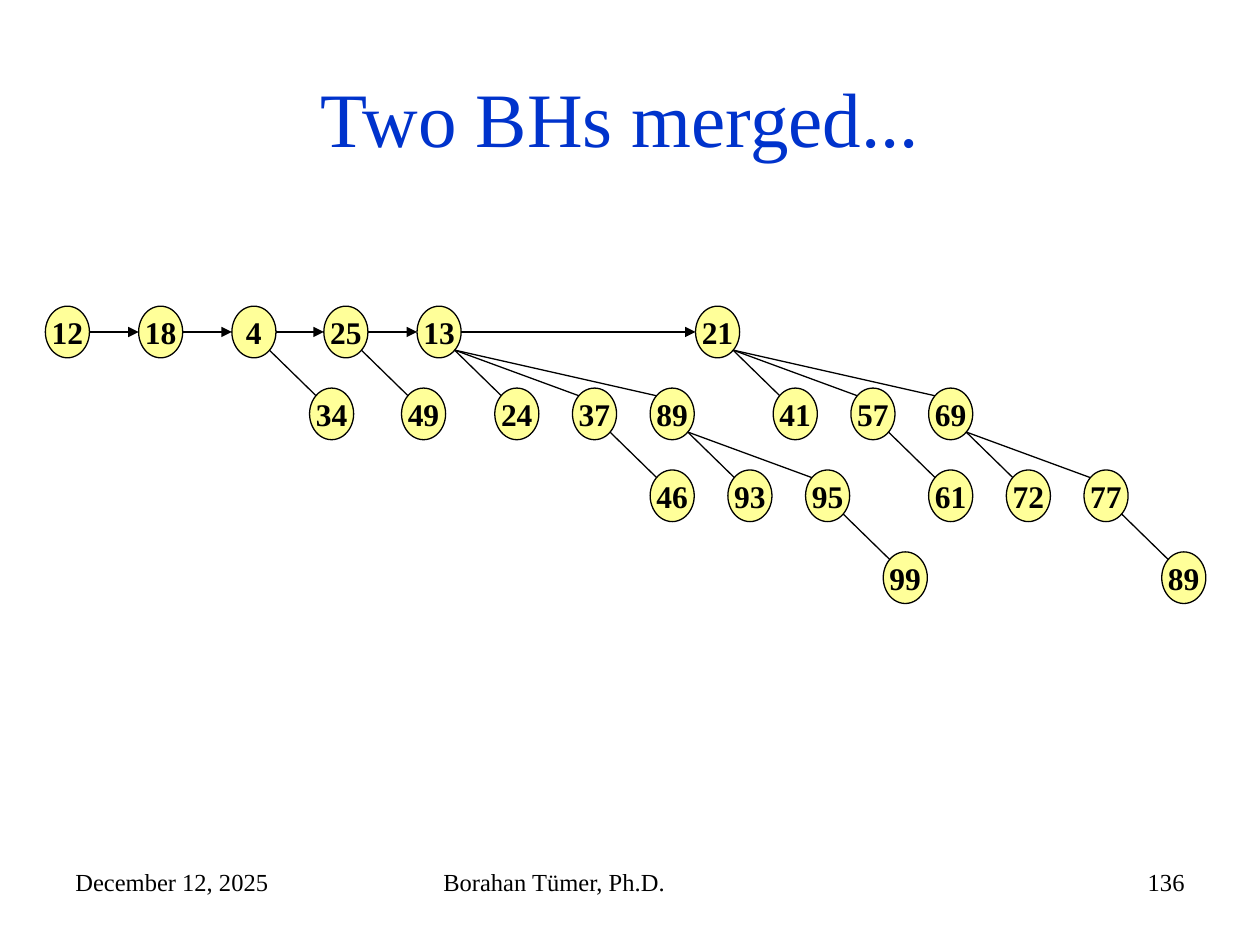
from lxml.etree import SubElement
from pptx import Presentation
from pptx.dml.color import RGBColor as RGB
from pptx.enum.shapes import MSO_CONNECTOR as LINK, MSO_SHAPE as SHAPE
from pptx.enum.text import MSO_ANCHOR as ANCHOR, PP_ALIGN as ALIGN
from pptx.oxml.ns import qn
from pptx.util import Inches, Pt

COLORS = {"title": "0033CC", "node": "FFFF99", "ink": "000000"}
FONT = "Times New Roman"
NODE_W, NODE_H = 0.35, 0.41
TOP, ROW = 2.43, 0.65
STEP = 1.85 / 3
DIAG = 0.15  # share of the oval's box cut off at its diagonal points

# Each root: left edge and tree; each tree: key and its child trees
ROOTS = [
    (0.36, ("12", [])),
    (1.10, ("18", [])),
    (1.84, ("4", [("34", [])])),
    (2.57, ("25", [("49", [])])),
    (3.31, ("13", [
        ("24", []),
        ("37", [("46", [])]),
        ("89", [("93", []), ("95", [("99", [])])]),
    ])),
    (5.52, ("21", [
        ("41", []),
        ("57", [("61", [])]),
        ("69", [("72", []), ("77", [("89", [])])]),
    ])),
]

FOOTER = [
    ("December 12, 2025", 0.5, 2.33, ALIGN.LEFT),
    ("Borahan Tümer, Ph.D.", 3.42, 3.17, ALIGN.LEFT),
    ("136", 7.17, 2.33, ALIGN.RIGHT),
]


def write(frame, text, size, color, align, bold=False):
    frame.text = text
    par = frame.paragraphs[0]
    par.alignment = align
    font = par.runs[0].font
    for name, value in {"name": FONT, "size": Pt(size), "bold": bold}.items():
        setattr(font, name, value)
    font.color.rgb = RGB.from_string(COLORS[color])


def add_title(slide, text):
    title = slide.shapes.title
    place = {"left": 0.5, "top": 0.3, "width": 9, "height": 1.25}
    for name, value in place.items():
        setattr(title, name, Inches(value))
    title.text_frame.vertical_anchor = ANCHOR.MIDDLE
    write(title.text_frame, text, 44, "title", ALIGN.CENTER)


def add_note(slide, text, left, width, align):
    """Add one text of the footer row."""
    box = slide.shapes.add_textbox(
        Inches(left), Inches(6.83), Inches(width), Inches(0.52))
    box.text_frame.word_wrap = True
    write(box.text_frame, text, 14, "ink", align)


def add_line(slide, start, end, arrow=False):
    line = slide.shapes.add_connector(
        LINK.STRAIGHT, *(Inches(v) for v in (*start, *end)))
    line.line.width = Pt(0.75)
    line.line.color.rgb = RGB.from_string(COLORS["ink"])
    if arrow:
        SubElement(line.line._get_or_add_ln(), qn("a:tailEnd"), type="triangle")
    SubElement(line._element.spPr, qn("a:effectLst"))


def add_node(slide, key, left, top):
    node = slide.shapes.add_shape(
        SHAPE.OVAL, Inches(left), Inches(top), Inches(NODE_W), Inches(NODE_H))
    node.shadow.inherit = False
    node.fill.solid()
    node.fill.fore_color.rgb = RGB.from_string(COLORS["node"])
    node.line.color.rgb = RGB.from_string(COLORS["ink"])
    node.line.width = Pt(0.75)
    frame = node.text_frame
    for side in ("left", "right", "top", "bottom"):
        setattr(frame, f"margin_{side}", 0)
    frame.word_wrap = False
    frame.vertical_anchor = ANCHOR.MIDDLE
    write(frame, key, 18, "ink", ALIGN.CENTER, True)


def add_tree(slide, tree, left, top):
    """Add a node and its subtrees, each one step further right."""
    key, kids = tree
    add_node(slide, key, left, top)
    start = left + NODE_W * (1 - DIAG), top + NODE_H * (1 - DIAG)
    for rank, kid in enumerate(kids, 1):
        x, y = left + rank * STEP, top + ROW
        add_line(slide, start, (x + NODE_W * DIAG, y + NODE_H * DIAG))
        add_tree(slide, kid, x, y)


def main():
    prs = Presentation()
    prs.slide_width, prs.slide_height = Inches(10), Inches(7.5)
    slide = prs.slides.add_slide(prs.slide_layouts[5])
    add_title(slide, "Two BHs merged... ")
    for note in FOOTER:
        add_note(slide, *note)
    for left, tree in ROOTS:
        add_tree(slide, tree, left, TOP)
    mid = TOP + NODE_H / 2
    for (left, _), (right, _) in zip(ROOTS, ROOTS[1:]):
        add_line(slide, (left + NODE_W, mid), (right, mid), arrow=True)
    prs.save("out.pptx")


if __name__ == "__main__":
    main()
